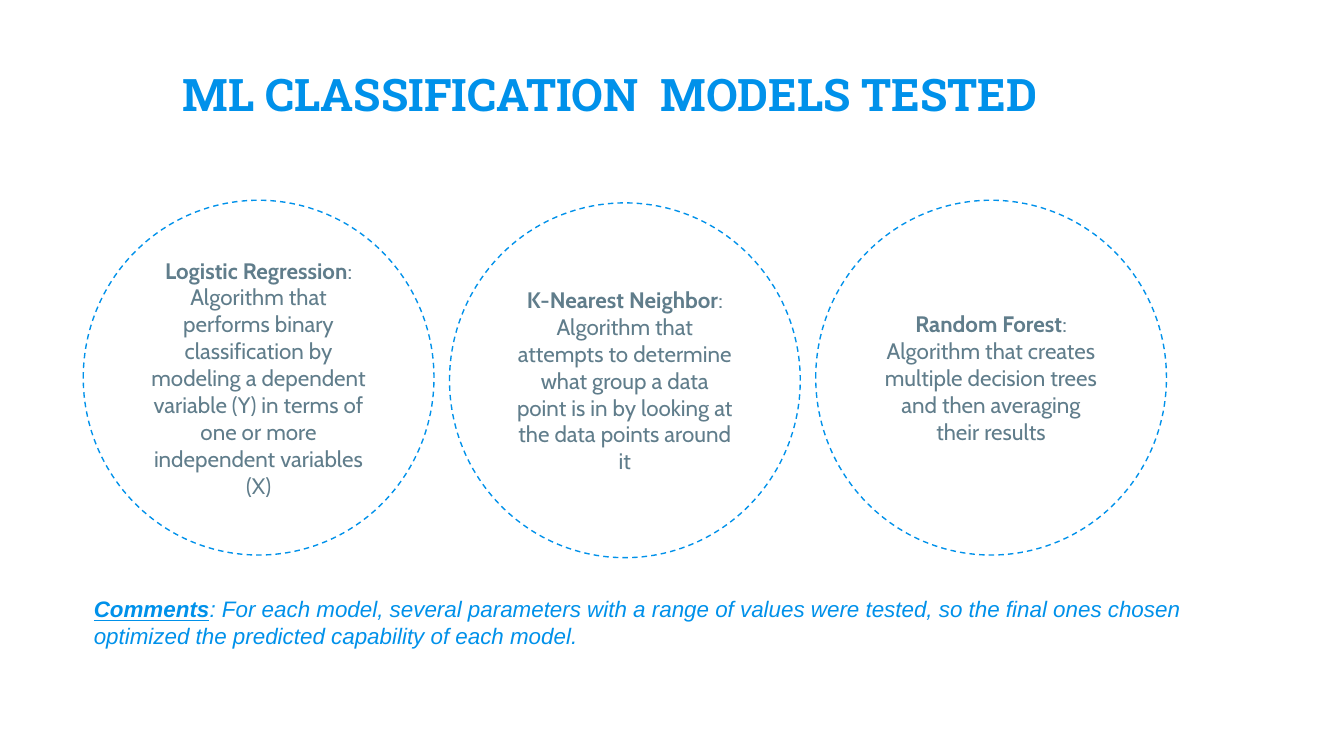
from dataclasses import dataclass

from pptx import Presentation
from pptx.dml.color import RGBColor
from pptx.enum.dml import MSO_LINE
from pptx.enum.shapes import MSO_SHAPE
from pptx.enum.text import MSO_ANCHOR, PP_ALIGN
from pptx.slide import Slide
from pptx.util import Pt

DASH = MSO_LINE.DASH
ELLIPSE = MSO_SHAPE.OVAL
TOP, MIDDLE, BOTTOM = MSO_ANCHOR.TOP, MSO_ANCHOR.MIDDLE, MSO_ANCHOR.BOTTOM
LEFT, CENTER = PP_ALIGN.LEFT, PP_ALIGN.CENTER

CIRCLE_LEFT, CIRCLE_PITCH = 44.6, 196.2
CIRCLE_WIDTH, CIRCLE_HEIGHT = 187.9, 190.1
MODELS = [
    ("Logistic Regression", ": Algorithm that performs binary classification by modeling a "
     "dependent variable (Y) in terms of one or more independent variables (X)", 107.3),
    ("K-Nearest Neighbor", ": Algorithm that attempts to determine what group a data point "
     "is in by looking at the data points around it", 108.7),
    ("Random Forest", ": Algorithm that creates multiple decision trees and then averaging "
     "their results", 107.3),
]


def rgb(hex_color):
    return RGBColor.from_string(hex_color)


@dataclass
class ModelSlide:
    """Draws the parts of the slide in one shared style."""

    slide: Slide
    accent: str = "0091EA"
    body: str = "607D8B"
    title_font: str = "Roboto Slab"
    body_font: str = "Cabin"
    comment_font: str = "Arial"

    def set_frame(self, frame, anchor, inset):
        frame.word_wrap = True
        frame.vertical_anchor = anchor
        frame.margin_left = frame.margin_right = Pt(7.2)
        frame.margin_top = frame.margin_bottom = Pt(inset)

    def add_wording(self, paragraph, lead, rest, align, font_name, size, color):
        paragraph.alignment = align
        for wording, bold in ((lead, True), (rest, False)):
            if wording:
                run = paragraph.add_run()
                run.text = wording
                run.font.name = font_name
                run.font.size = Pt(size)
                run.font.bold = bold
                run.font.color.rgb = rgb(color)

    def text_box(self, left, top, width, height, anchor, inset):
        box = self.slide.shapes.add_textbox(Pt(left), Pt(top), Pt(width), Pt(height))
        self.set_frame(box.text_frame, anchor, inset)
        return box.text_frame.paragraphs[0]

    def title(self, wording):
        heading = self.text_box(28.8, 16.6, 596.2, 55.4, BOTTOM, 7.2)
        self.add_wording(heading, wording, "", CENTER, self.title_font, 24, self.accent)

    def model_circle(self, left, top, name, description):
        circle = self.slide.shapes.add_shape(
            ELLIPSE, Pt(left), Pt(top), Pt(CIRCLE_WIDTH), Pt(CIRCLE_HEIGHT))
        circle.shadow.inherit = False
        circle.fill.background()
        circle.line.color.rgb = rgb(self.accent)
        circle.line.width = Pt(0.75)
        circle.line.dash_style = DASH
        self.set_frame(circle.text_frame, MIDDLE, 7.2)
        self.add_wording(circle.text_frame.paragraphs[0], name, description,
                         CENTER, self.body_font, 12, self.body)

    def comment(self, label, remark):
        note = self.text_box(43.2, 315.4, 633.6, 36, TOP, 3.6)
        self.add_wording(note, label, remark, LEFT, self.comment_font, 12, self.accent)
        for run in note.runs:
            run.font.italic = True
        note.runs[0].font.underline = True


def main():
    deck = Presentation()
    deck.slide_width, deck.slide_height = Pt(720), Pt(405)
    page = ModelSlide(deck.slides.add_slide(deck.slide_layouts[6]))
    page.title("ML CLASSIFICATION  MODELS TESTED")
    for index, (name, description, top) in enumerate(MODELS):
        page.model_circle(CIRCLE_LEFT + index * CIRCLE_PITCH, top, name, description)
    page.comment("Comments", ": For each model, several parameters with a range of values were "
                 "tested, so the final ones chosen optimized the predicted capability of each "
                 "model.")
    deck.save("out.pptx")


if __name__ == "__main__":
    main()
